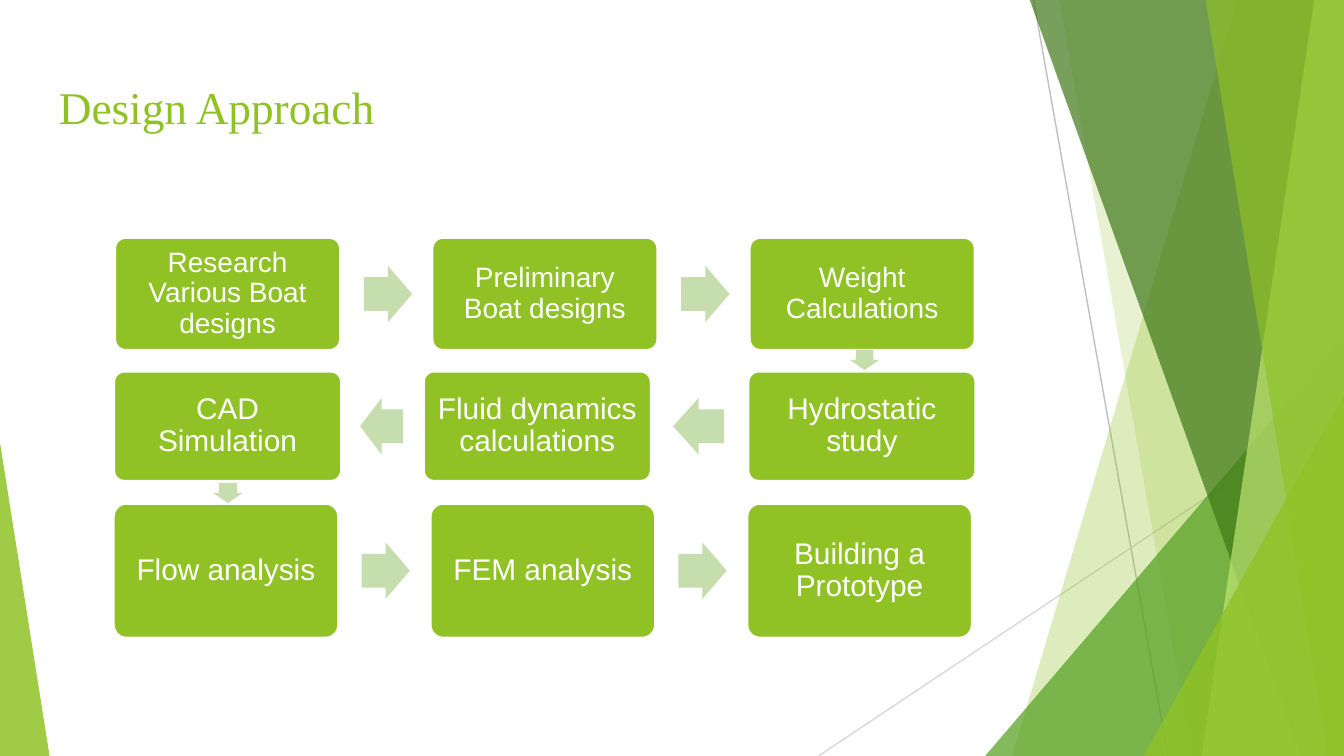
import pptx
import pptx.dml.color
import pptx.enum.shapes
import pptx.enum.text
import pptx.oxml.ns
import pptx.oxml.xmlchemy
import pptx.util

Pt = pptx.util.Pt
RGBColor = pptx.dml.color.RGBColor
SHAPES = pptx.enum.shapes.MSO_SHAPE

LIME = RGBColor(0x90, 0xC2, 0x26)
LIGHT_LIME = RGBColor(0xBF, 0xE4, 0x71)
GREEN = RGBColor(0x54, 0xA0, 0x21)
DARK_GREEN = RGBColor(0x3F, 0x78, 0x18)
PALE_GREEN = RGBColor(0xC6, 0xDD, 0xAD)
GRAY = RGBColor(0xBF, 0xBF, 0xBF)
LIGHT_GRAY = RGBColor(0xD8, 0xD8, 0xD8)
WHITE = RGBColor(0xFF, 0xFF, 0xFF)

WIDTH, HEIGHT = 720, 405
BAND_TOP = -0.6
ARROW_HEIGHT = 30.2


def paint(shape, color, opacity=100):
    """Give a shape a flat fill with the given opacity and no outline."""
    shape.shadow.inherit = False
    shape.line.fill.background()
    shape.fill.solid()
    shape.fill.fore_color.rgb = color
    if opacity < 100:
        color_element = shape._element.spPr.find(".//" + pptx.oxml.ns.qn("a:srgbClr"))
        alpha = pptx.oxml.xmlchemy.OxmlElement("a:alpha")
        alpha.set("val", str(opacity * 1000))
        color_element.append(alpha)


def add_line(slide, start, end, color):
    """Draw a thin decorative line."""
    line = slide.shapes.add_connector(
        pptx.enum.shapes.MSO_CONNECTOR.STRAIGHT, *map(Pt, start + end))
    line.line.color.rgb = color
    line.line.width = Pt(0.75)
    line._element.spPr.append(pptx.oxml.xmlchemy.OxmlElement("a:effectLst"))


def add_band(slide, top_left, bottom_left, color, opacity):
    """Draw a full-height band from a slanted left edge to the slide's right edge."""
    builder = slide.shapes.build_freeform(Pt(top_left), Pt(BAND_TOP), scale=1.0)
    corners = [(WIDTH, BAND_TOP), (WIDTH, HEIGHT), (bottom_left, HEIGHT)]
    builder.add_line_segments([(Pt(x), Pt(y)) for x, y in corners], close=True)
    paint(builder.convert_to_shape(), color, opacity)


def add_triangle(slide, left, top, width, apex, color, opacity):
    """Draw a triangle standing on the bottom edge of the slide."""
    shape = slide.shapes.add_shape(
        SHAPES.ISOSCELES_TRIANGLE, Pt(left), Pt(top), Pt(width), Pt(HEIGHT - top))
    shape.adjustments[0] = apex
    paint(shape, color, opacity)


def add_backdrop(slide):
    """Draw the decorative lines, bands and triangles from back to front."""
    add_line(slide, (553.7, 0), (625.7, HEIGHT), GRAY)
    add_line(slide, (WIDTH, 217.4), (438.5, HEIGHT), LIGHT_GRAY)
    add_band(slide, 663, 542.2, LIME, 30)
    add_band(slide, 567.4, 638.6, LIME, 20)
    add_triangle(slide, 527.8, 180, 192.2, 1, GREEN, 72)
    add_band(slide, 551.5, 697, DARK_GREEN, 70)
    add_band(slide, 704.2, 643.7, LIGHT_LIME, 70)
    add_band(slide, 645.8, 711.4, LIME, 65)
    add_triangle(slide, 612.7, 211.7, 107.3, 1, LIME, 80)
    add_triangle(slide, 0, 237, 26.6, 0, LIME, 85)


def format_paragraph(paragraph, name, size, color):
    """Set the font of every run in a paragraph."""
    for run in paragraph.runs:
        run.font.name = name
        run.font.size = Pt(size)
        run.font.color.rgb = color


def add_title(slide, text):
    """Add the slide title."""
    box = slide.shapes.add_textbox(Pt(24.5), Pt(35.3), Pt(671), Pt(45.4))
    frame = box.text_frame
    frame.word_wrap = True
    frame.margin_left = frame.margin_right = Pt(7.2)
    frame.margin_top = frame.margin_bottom = Pt(7.2)
    frame.text = text
    format_paragraph(frame.paragraphs[0], "Times New Roman", 24.3, LIME)


def add_step(slide, left, top, width, height, text, size):
    """Add one rounded process step with centred text."""
    shape = slide.shapes.add_shape(
        SHAPES.ROUNDED_RECTANGLE, Pt(left), Pt(top), Pt(width), Pt(height))
    shape.adjustments[0] = 0.1
    paint(shape, LIME)
    shape.line.color.rgb = WHITE
    shape.line.width = Pt(2)
    frame = shape.text_frame
    frame.word_wrap = True
    frame.vertical_anchor = pptx.enum.text.MSO_ANCHOR.MIDDLE
    frame.margin_left = frame.margin_right = Pt(6.3)
    frame.margin_top = frame.margin_bottom = Pt(6.3)
    frame.text = text
    paragraph = frame.paragraphs[0]
    paragraph.alignment = pptx.enum.text.PP_ALIGN.CENTER
    paragraph.line_spacing = 0.9
    format_paragraph(paragraph, "Arial", size, WHITE)


def add_arrow(slide, left, top, width, height, rotation=0):
    """Add a block arrow that points right before rotation."""
    shape = slide.shapes.add_shape(
        SHAPES.RIGHT_ARROW, Pt(left), Pt(top), Pt(width), Pt(height))
    shape.adjustments[0] = 0.6
    shape.adjustments[1] = 0.5
    shape.rotation = rotation
    paint(shape, PALE_GREEN)


def add_row(slide, top, width, height, size, steps, arrows, rotation=0):
    """Add a row of steps and the arrows between them."""
    for left, text in steps:
        add_step(slide, left, top, width, height, text, size)
    arrow_top = top + (height - ARROW_HEIGHT) / 2
    for left, arrow_width in arrows:
        add_arrow(slide, left, arrow_top, arrow_width, ARROW_HEIGHT, rotation)


def main():
    """Build the slide and save it."""
    presentation = pptx.Presentation()
    presentation.slide_width = Pt(WIDTH)
    presentation.slide_height = Pt(HEIGHT)
    slide = presentation.slides.add_slide(presentation.slide_layouts[6])
    add_backdrop(slide)
    add_title(slide, "Design Approach")
    add_row(slide, 127, 121.5, 61, 15,
            [(61.2, "Research Various Boat designs"),
             (231.2, "Preliminary Boat designs"),
             (401.2, "Weight Calculations")],
            [(194.9, 25.9), (364.9, 25.9)])
    add_row(slide, 198.6, 122.5, 59.5, 16,
            [(400.5, "Hydrostatic study"),
             (226.6, "Fluid dynamics calculations"),
             (60.7, "CAD Simulation")],
            [(360.6, 27.2), (192.9, 23)], 180)
    add_row(slide, 269.4, 121.2, 72.7, 16,
            [(60.5, "Flow analysis"),
             (230.2, "FEM analysis"),
             (399.9, "Building a Prototype")],
            [(193.7, 25.9), (363.4, 25.9)])
    for left, top in [(457.8, 184.9), (116.7, 256.2)]:
        add_arrow(slide, left, top, 10.8, 15.8, 90)
    presentation.save("out.pptx")


if __name__ == "__main__":
    main()
